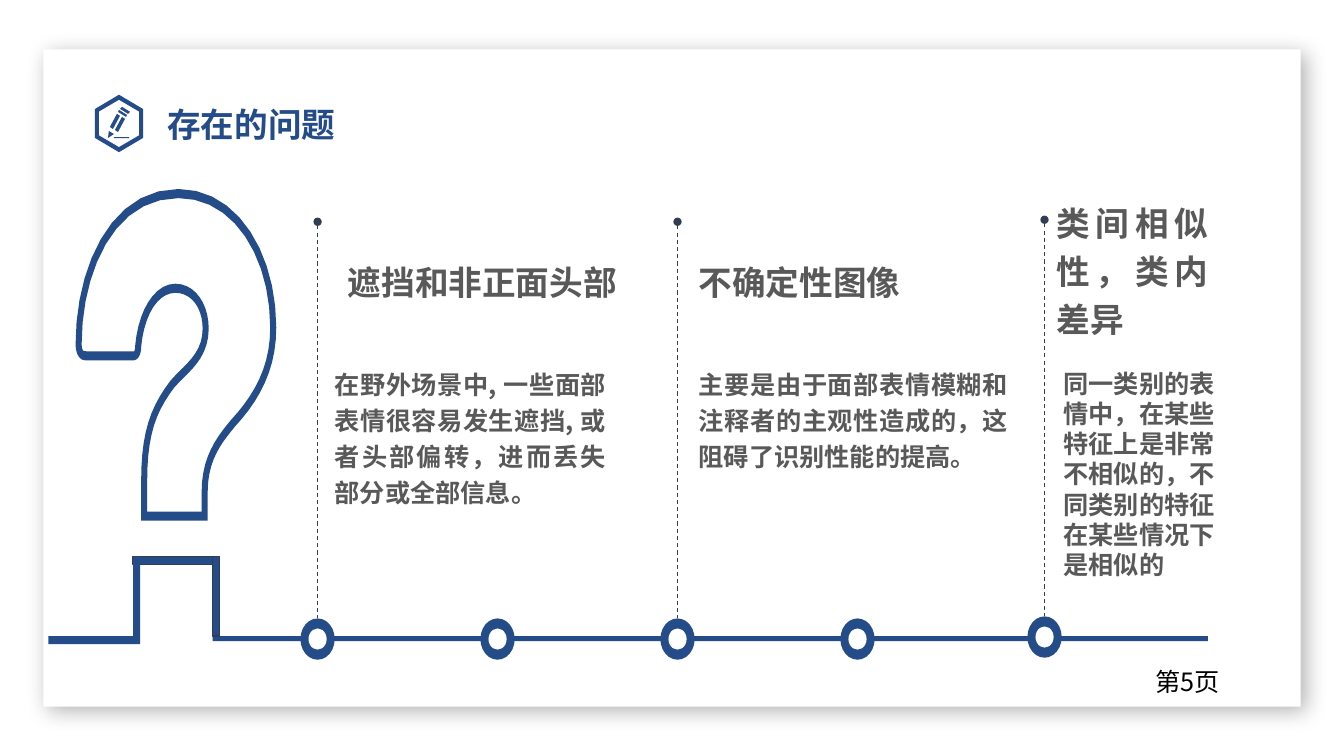
from math import hypot

from lxml import etree
from pptx import Presentation
from pptx.dml.color import RGBColor
from pptx.enum.dml import MSO_LINE
from pptx.enum.shapes import MSO_CONNECTOR, MSO_SHAPE
from pptx.enum.text import MSO_ANCHOR, MSO_AUTO_SIZE, PP_ALIGN
from pptx.oxml import parse_xml
from pptx.oxml.ns import nsdecls, qn
from pptx.util import Inches, Pt

NAVY = RGBColor(0x24, 0x4C, 0x89)
SLATE = RGBColor(0x31, 0x3D, 0x51)
GREY = RGBColor(0x59, 0x59, 0x59)
BLACK = RGBColor(0, 0, 0)
WHITE = RGBColor(0xFF, 0xFF, 0xFF)
FONT = "Noto Sans CJK SC"
RECT, OVAL = MSO_SHAPE.RECTANGLE, MSO_SHAPE.OVAL
LEFT, CENTER, JUSTIFY = PP_ALIGN.LEFT, PP_ALIGN.CENTER, PP_ALIGN.JUSTIFY
TOP, MIDDLE = MSO_ANCHOR.TOP, MSO_ANCHOR.MIDDLE
FIT_SHAPE, NO_FIT = MSO_AUTO_SIZE.SHAPE_TO_FIT_TEXT, MSO_AUTO_SIZE.NONE
STRAIGHT, DASH = MSO_CONNECTOR.STRAIGHT, MSO_LINE.DASH

# Middle of the stroke: a start point, then lines (x, y) or curves (x1, y1, x2, y2, x, y).
QUESTION_MARK = [
    (1.37, 3.44), (1.4, 3.1, 1.55, 2.86, 1.74, 2.86), (1.92, 2.86, 2.04, 3.04, 2.04, 3.26),
    (2.04, 3.54, 1.84, 3.66, 1.71, 3.81), (1.52, 4.06, 1.43, 4.3, 1.43, 4.77),
    (1.43, 5.12), (2.03, 5.12), (2.03, 4.88), (2.03, 4.55, 2.17, 4.37, 2.31, 4.2),
    (2.55, 3.94, 2.71, 3.65, 2.71, 3.25), (2.71, 2.55, 2.35, 1.92, 1.77, 1.92),
    (1.1, 1.92, 0.78, 2.7, 0.78, 3.41), (0.78, 3.48, 0.8, 3.53, 0.85, 3.53),
    (1.32, 3.53), (1.35, 3.53, 1.37, 3.5, 1.37, 3.44),
]
# left, top, width, height, outlined
BARS = [
    (0.48, 6.31, 0.91, 0.08, False),
    (2.11, 6.31, 9.87, 0.05, False),
    (1.32, 5.52, 0.85, 0.08, True),
    (1.32, 5.52, 0.07, 0.79, False),
    (2.11, 5.52, 0.07, 0.79, True),
]
# centre x, centre y, with dashed stem
STOPS = [(3.15 + 1.785 * i, 6.34, i % 2 == 0) for i in range(4)] + [(10.36, 6.32, True)]


def place(sp, left, top, width, height):
    sp.left, sp.top = Inches(left), Inches(top)
    sp.width, sp.height = Inches(width), Inches(height)


def write(sp, text, size=18, color=GREY, bold=True, align=LEFT, spacing=1.2,
          anchor=TOP, fit=FIT_SHAPE, inset=False):
    tf = sp.text_frame
    tf.word_wrap, tf.auto_size, tf.vertical_anchor = True, fit, anchor
    if not inset:
        tf.margin_left = tf.margin_top = tf.margin_right = tf.margin_bottom = 0
    p = tf.paragraphs[0]
    p.alignment, p.line_spacing = align, spacing
    r = p.add_run()
    r.text = text
    r.font.size, r.font.bold, r.font.name = Pt(size), bold, FONT
    r.font.color.rgb = color
    rPr = r.font._element
    rPr.set("lang", "zh-CN")
    etree.SubElement(rPr, qn("a:ea")).set("typeface", FONT)


def add_text(s, box, text, **style):
    sp = s.shapes.add_textbox(*map(Inches, box))
    write(sp, text, **style)


def paint(sp, color, outlined=False):
    sp.shadow.inherit = False
    sp.fill.solid()
    sp.fill.fore_color.rgb = color
    if outlined:
        sp.line.color.rgb, sp.line.width = SLATE, Pt(1)
    else:
        sp.line.fill.background()


def add_filled(s, kind, box, color, outlined=False):
    sp = s.shapes.add_shape(kind, *map(Inches, box))
    paint(sp, color, outlined)
    return sp


def add_card(s):
    """Add the white page with its soft shadow behind everything else."""
    sp = add_filled(s, RECT, (0.43, 0.49, 12.47, 6.52), WHITE)
    effects = sp._element.spPr.find(qn("a:effectLst"))
    effects.append(parse_xml(
        f'<a:outerShdw {nsdecls("a")} blurRad="{Pt(15)}" dist="{Pt(5)}" dir="2700000" '
        'algn="tl" rotWithShape="0"><a:srgbClr val="000000"><a:alpha val="30000"/>'
        '</a:srgbClr></a:outerShdw>'))
    s.shapes._spTree.insert(2, sp._element)


def flatten(outline, steps=10):
    """Return the points of a closed outline, each curve cut into short lines."""
    points = [outline[0]]
    for part in outline[1:]:
        if len(part) == 2:
            points.append(part)
            continue
        x0, y0 = points[-1]
        x1, y1, x2, y2, x3, y3 = part
        for t in (i / steps for i in range(1, steps + 1)):
            a, b, c, d = (1 - t) ** 3, 3 * t * (1 - t) ** 2, 3 * t * t * (1 - t), t ** 3
            points.append((a * x0 + b * x1 + c * x2 + d * x3, a * y0 + b * y1 + c * y2 + d * y3))
    return points[:-1]


def normal(p, q):
    dx, dy = q[0] - p[0], q[1] - p[1]
    length = hypot(dx, dy)
    return -dy / length, dx / length


def offset(points, across, down):
    """Return the closed outline moved sideways, with mitred corners."""
    moved = []
    for i, (x, y) in enumerate(points):
        ax, ay = normal(points[i - 1], (x, y))
        bx, by = normal((x, y), points[(i + 1) % len(points)])
        miter = 1 + ax * bx + ay * by
        moved.append((x + across * (ax + bx) / miter, y + down * (ay + by) / miter))
    return moved


def add_outline(s, contours):
    first, *others = [[(Inches(x), Inches(y)) for x, y in c] for c in contours]
    builder = s.shapes.build_freeform(*first[0])
    builder.add_line_segments(first[1:])
    for points in others:
        builder.move_to(*points[0])
        builder.add_line_segments(points[1:])
    paint(builder.convert_to_shape(), NAVY)


def hexagon(rx, ry, x=1.18, y=1.225):
    return [(x + rx * i, y + ry * j) for i, j in
            ((0, -1), (1, -0.5), (1, 0.5), (0, 1), (-1, 0.5), (-1, -0.5))]


def band(x, y, along, across):
    (ax, ay), (bx, by) = along, across
    return [(x, y), (x + ax, y + ay), (x + ax + bx, y + ay + by), (x + bx, y + by)]


def add_pencil_icon(s):
    shaft, edge, end = (0.07, -0.13), (0.03, 0.02), (0.08, 0.05)
    add_outline(s, [
        hexagon(0.24, 0.285), hexagon(0.2, 0.235),
        band(1.13, 1.37, (0, -0.01), (0.15, 0)),
        band(1.14, 1.29, shaft, edge), band(1.09, 1.26, shaft, edge),
        band(1.17, 1.11, (0.01, -0.02), end), band(1.19, 1.08, (0.02, -0.02), end),
        [(1.07, 1.37), (1.08, 1.3), (1.13, 1.33)],
    ])


def add_question_mark(s):
    middle = flatten(QUESTION_MARK)
    add_outline(s, [offset(middle, side * 0.03, side * 0.045) for side in (1, -1)])


def add_stop(s, x, y, stem):
    """Add a ring on the timeline, with a dashed stem above it if wanted."""
    for w, h, color in ((0.34, 0.41, NAVY), (0.18, 0.21, WHITE)):
        add_filled(s, OVAL, (x - w / 2, y - h / 2, w, h), color)
    if stem:
        line = s.shapes.add_connector(
            STRAIGHT, Inches(x), Inches(y - 4.14), Inches(x), Inches(y - 0.21))
        line.line.color.rgb, line.line.width, line.line.dash_style = SLATE, Pt(0.75), DASH
        ln = line._element.spPr.find(qn("a:ln"))
        etree.SubElement(ln, qn("a:headEnd")).set("type", "oval")
        etree.SubElement(line._element.spPr, qn("a:effectLst"))


def main():
    prs = Presentation()
    prs.slide_width, prs.slide_height = Inches(13.33), Inches(7.5)
    s = prs.slides.add_slide(prs.slide_layouts[5])
    add_card(s)
    add_pencil_icon(s)
    title = s.shapes.title
    place(title, 1.56, 0.94, 3.97, 0.5)
    write(title, "存在的问题", size=24, color=NAVY, anchor=MIDDLE, fit=NO_FIT, inset=True)
    add_text(s, (11.3, 6.55, 0.96, 0.33), "第5页", color=BLACK, bold=False, align=CENTER)

    add_question_mark(s)
    for *box, outlined in BARS:
        add_filled(s, RECT, box, NAVY, outlined)
    for stop in STOPS:
        add_stop(s, *stop)

    add_text(s, (3.45, 2.52, 2.8, 0.48), "遮挡和非正面头部", size=24)
    add_text(s, (3.32, 3.6, 2.69, 1.45),
             "在野外场景中, 一些面部表情很容易发生遮挡, 或者头部偏转，进而丢失部分或全部信息。",
             align=JUSTIFY)
    add_text(s, (6.93, 2.52, 3.07, 0.48), "不确定性图像", size=24)
    add_text(s, (6.93, 3.6, 3.07, 1.09),
             "主要是由于面部表情模糊和注释者的主观性造成的，这阻碍了识别性能的提高。",
             align=JUSTIFY)
    add_text(s, (10.48, 1.93, 1.5, 1.45), "类间相似性，类内差异", size=24, align=JUSTIFY)
    add_text(s, (10.45, 3.6, 1.93, 2.22),
             "同一类别的表情中，在某些特征上是非常不相似的，不同类别的特征在某些情况下是相似的",
             spacing=1.0, inset=True)
    prs.save("out.pptx")


if __name__ == "__main__":
    main()
